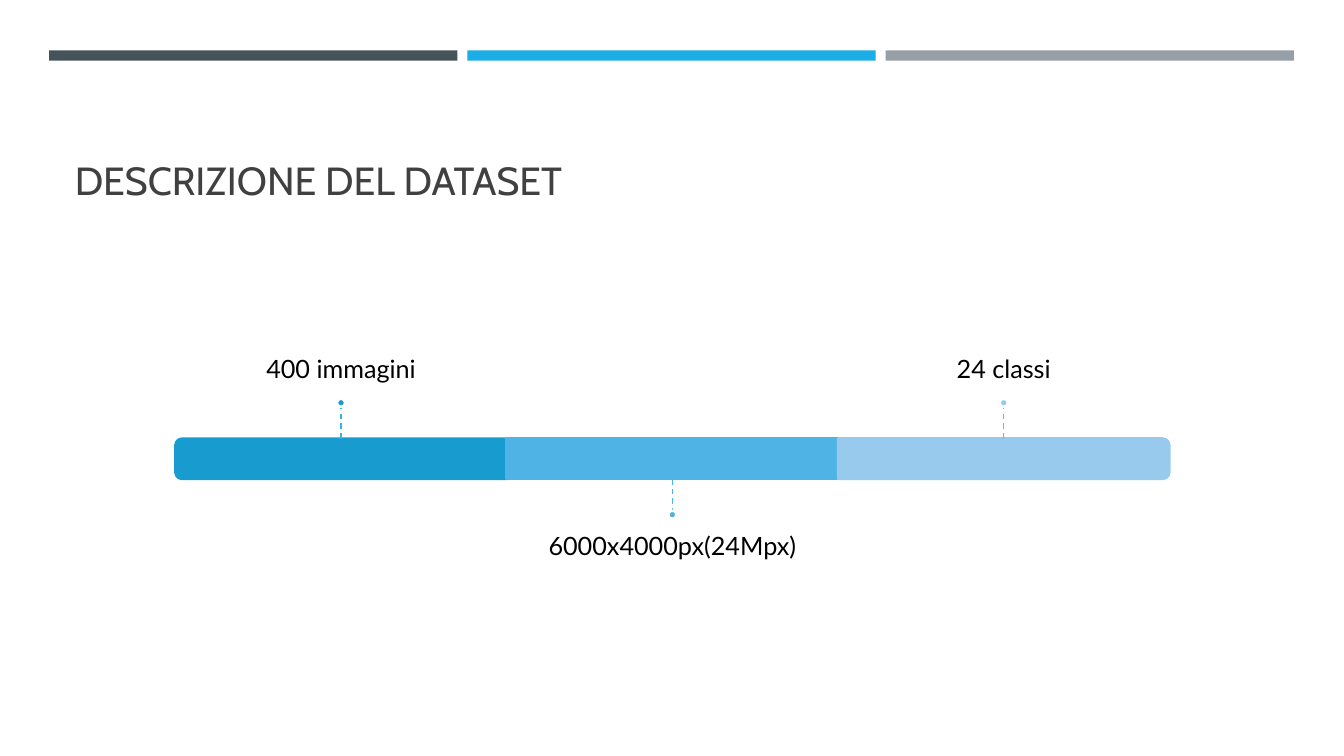
from lxml import etree
from pptx import Presentation, util as u
from pptx.dml.color import RGBColor
from pptx.enum import dml, shapes, text
from pptx.oxml.ns import qn

TITLE = "DESCRIZIONE DEL DATASET"
COLORS = {"title": "404040", "label": "000000", "ring": "FFFFFF"}
BANDS = ["465359", "1CADE4", "969FA7"]
PLAIN = shapes.MSO_SHAPE.RECTANGLE
ROUNDED = shapes.MSO_SHAPE.ROUND_2_SAME_RECTANGLE
SEGMENTS = [
    ("400 immagini", "189CCF", "35B3E9", ROUNDED, 270, True),
    ("6000x4000px(24Mpx)", "50B3E5", "47B8EC", PLAIN, 0, False),
    ("24 classi", "97CAED", "59BEEF", ROUNDED, 90, True),
]
BAND_LEFT, BAND_TOP, BAND_W, BAND_H, BAND_STEP = 1.24, 1.27, 10.29, 0.26, 10.54
BAR_LEFT, BAR_TOP, SEG_W, BAR_H = 4.42, 11.05, 8.35, 1.02
STEM, DOT, LABEL_W, LABEL_H, LABEL_GAP = 0.8, 0.2, 13.92, 3.53, 0.38


def write(tf, content, font, size, color, align, anchor, spacing=None):
    tf.word_wrap = True
    tf.auto_size = text.MSO_AUTO_SIZE.NONE
    tf.vertical_anchor = anchor
    p = tf.paragraphs[0]
    p.alignment = align
    p.line_spacing = spacing
    r = p.add_run()
    r.text = content
    r.font.name = font
    r.font.size = u.Pt(size)
    r.font.color.rgb = RGBColor.from_string(color)


def add_shape(s, kind, cx, cy, w, h, fill, line=None, rotation=0):
    if rotation:
        w, h = h, w
    sp = s.shapes.add_shape(kind, u.Cm(cx - w / 2), u.Cm(cy - h / 2), u.Cm(w), u.Cm(h))
    sp.rotation = rotation
    sp.shadow.inherit = False
    sp.fill.solid()
    sp.fill.fore_color.rgb = RGBColor.from_string(fill)
    if line:
        sp.line.color.rgb = RGBColor.from_string(line)
        sp.line.width = u.Pt(1.75)
    else:
        sp.line.fill.background()


def add_stem(s, x, y1, y2, color):
    c = s.shapes.add_connector(shapes.MSO_CONNECTOR.STRAIGHT, u.Cm(x), u.Cm(y1), u.Cm(x), u.Cm(y2))
    c.line.color.rgb = RGBColor.from_string(color)
    c.line.width = u.Pt(1)
    c.line.dash_style = dml.MSO_LINE.DASH
    etree.SubElement(c._element.spPr, qn("a:effectLst"))


def add_label(s, content, x, edge, above):
    top = edge - LABEL_H if above else edge
    sp = s.shapes.add_textbox(u.Cm(x - LABEL_W / 2), u.Cm(top), u.Cm(LABEL_W), u.Cm(LABEL_H))
    tf = sp.text_frame
    tf.margin_left = tf.margin_right = 0
    tf.margin_top = 0 if above else u.Cm(LABEL_GAP)
    tf.margin_bottom = u.Cm(LABEL_GAP) if above else 0
    anchor = text.MSO_ANCHOR.BOTTOM if above else text.MSO_ANCHOR.TOP
    write(tf, content, "Lato", 18, COLORS["label"], text.PP_ALIGN.CENTER, anchor, spacing=0.9)


def main():
    prs = Presentation()
    prs.slide_width, prs.slide_height = u.Cm(33.87), u.Cm(19.05)
    s = prs.slides.add_slide(prs.slide_layouts[5])

    for i, color in enumerate(BANDS):
        add_shape(s, PLAIN, BAND_LEFT + i * BAND_STEP + BAND_W / 2, BAND_TOP + BAND_H / 2,
                  BAND_W, BAND_H, color)

    title = s.shapes.title
    title.left, title.top, title.width, title.height = u.Cm(1.63), u.Cm(1.96), u.Cm(30.63), u.Cm(3.3)
    write(title.text_frame, TITLE, "Cabin", 28, COLORS["title"],
          text.PP_ALIGN.LEFT, text.MSO_ANCHOR.BOTTOM)

    for i, (label, fill, stem, kind, rotation, above) in enumerate(SEGMENTS):
        x = BAR_LEFT + (i + 0.5) * SEG_W
        direction = -1 if above else 1
        edge = BAR_TOP if above else BAR_TOP + BAR_H
        tip = edge + direction * STEM
        add_shape(s, kind, x, BAR_TOP + BAR_H / 2, SEG_W, BAR_H, fill, line=fill, rotation=rotation)
        add_label(s, label, x, tip + direction * DOT, above)
        add_stem(s, x, edge, tip, stem)
        add_shape(s, shapes.MSO_SHAPE.OVAL, x, tip + direction * DOT / 2, DOT, DOT,
                  fill, line=COLORS["ring"])

    prs.save("out.pptx")


if __name__ == "__main__":
    main()
